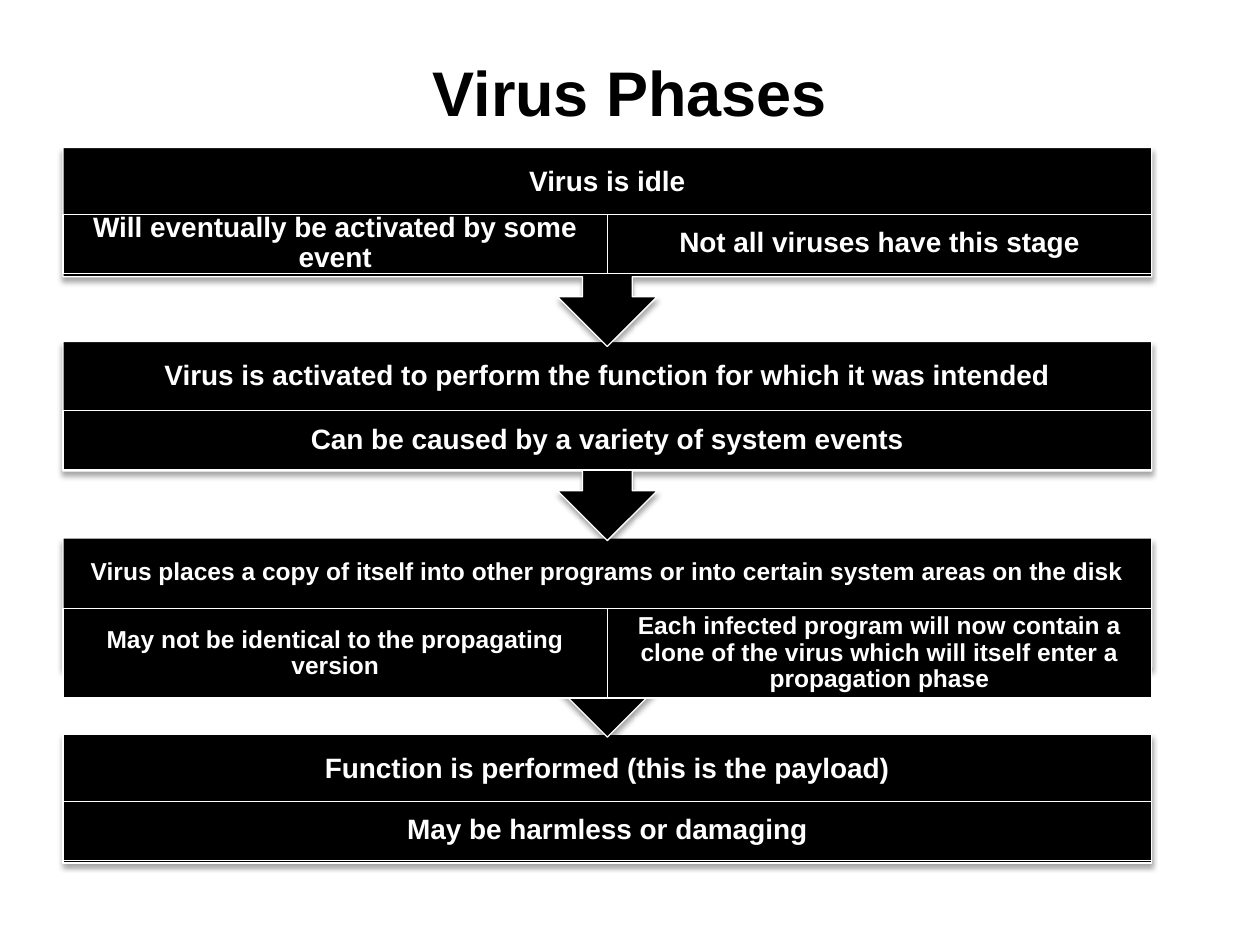
from lxml import etree
from pptx import Presentation
from pptx import util as u
from pptx.dml.color import RGBColor
from pptx.enum import shapes, text
from pptx.oxml import ns

BLACK = RGBColor(0, 0, 0)
WHITE = RGBColor(255, 255, 255)

# Grid, in inches
LEFT, WIDTH = 0.5, 8.64
HEADING_HEIGHT = 0.55
BLOCK_HEIGHT, CALLOUT_HEIGHT = 1.02, 1.58

# Top, font size, heading, details' offset and height, details
STAGES = [
    (1.17, 16, "Virus is idle", 0.53, 0.47,
     ["Will eventually be activated by some event",
      "Not all viruses have this stage"]),
    (2.71, 16, "Virus is activated to perform the function for which it was intended",
     0.55, 0.47, ["Can be caused by a variety of system events"]),
    (4.27, 14, "Virus places a copy of itself into other programs or into certain "
     "system areas on the disk", 0.56, 0.71,
     ["May not be identical to the propagating version",
      "Each infected program will now contain a clone of the virus which will "
      "itself enter a propagation phase"]),
    (5.83, 16, "Function is performed (this is the payload)", 0.53, 0.47,
     ["May be harmless or damaging"]),
]


def write(box, words, size, color=WHITE, inset_x=0.12, inset_y=0.12, spacing=0.9):
    frame = box.text_frame
    frame.word_wrap = True
    frame.vertical_anchor = text.MSO_ANCHOR.MIDDLE
    frame.margin_left = frame.margin_right = u.Inches(inset_x)
    frame.margin_top = frame.margin_bottom = u.Inches(inset_y)
    para = frame.paragraphs[0]
    para.alignment = text.PP_ALIGN.CENTER
    para.line_spacing = spacing
    span = para.add_run()
    span.text = words
    span.font.name = "Arial"
    span.font.size = u.Pt(size)
    span.font.bold = True
    span.font.color.rgb = color


def add_block(page, kind, *bounds, shadow=False):
    block = page.shapes.add_shape(kind, *map(u.Inches, bounds))
    block.fill.solid()
    block.fill.fore_color.rgb = BLACK
    block.line.color.rgb = WHITE
    block.line.width = u.Pt(0.75)
    block.shadow.inherit = False
    if shadow:
        effects = block.element.spPr.find(ns.qn("a:effectLst"))
        outer = etree.SubElement(
            effects, ns.qn("a:outerShdw"), blurRad=str(u.Pt(3.1)),
            dist=str(u.Pt(1.8)), dir="5400000", rotWithShape="0")
        color = etree.SubElement(outer, ns.qn("a:srgbClr"), val=str(BLACK))
        etree.SubElement(color, ns.qn("a:alpha"), val="35000")
    return block


deck = Presentation()
deck.slide_width, deck.slide_height = u.Inches(10), u.Inches(7.5)
page = deck.slides.add_slide(deck.slide_layouts[6])

# Title
title = page.shapes.add_textbox(*map(u.Inches, (0.5, 0.3, 9, 0.85)))
write(title, "Virus Phases", 36, color=BLACK, inset_x=0.1, inset_y=0.1, spacing=1)

# Stages, last first, so that each arrow lies over the next stage
for stage in reversed(STAGES):
    top, size, heading, offset, height, details = stage

    # Block: a downward callout, or a plain box for the final stage
    if stage is STAGES[-1]:
        add_block(page, shapes.MSO_SHAPE.RECTANGLE, LEFT, top, WIDTH, BLOCK_HEIGHT,
                  shadow=True)
    else:
        callout = add_block(page, shapes.MSO_SHAPE.UP_ARROW_CALLOUT,
                            LEFT, top, WIDTH, CALLOUT_HEIGHT, shadow=True)
        callout.rotation = 180

    # Heading
    box = page.shapes.add_textbox(*map(u.Inches, (LEFT, top, WIDTH, HEADING_HEIGHT)))
    write(box, heading, size, inset_x=0.11 if size == 14 else 0.12)

    # Details in equal columns
    column = WIDTH / len(details)
    for index, detail in enumerate(details):
        cell = add_block(page, shapes.MSO_SHAPE.RECTANGLE,
                         LEFT + index * column, top + offset, column, height)
        write(cell, detail, size, inset_x=0.11 if size == 14 else 0.12, inset_y=0.02)

deck.save("out.pptx")
